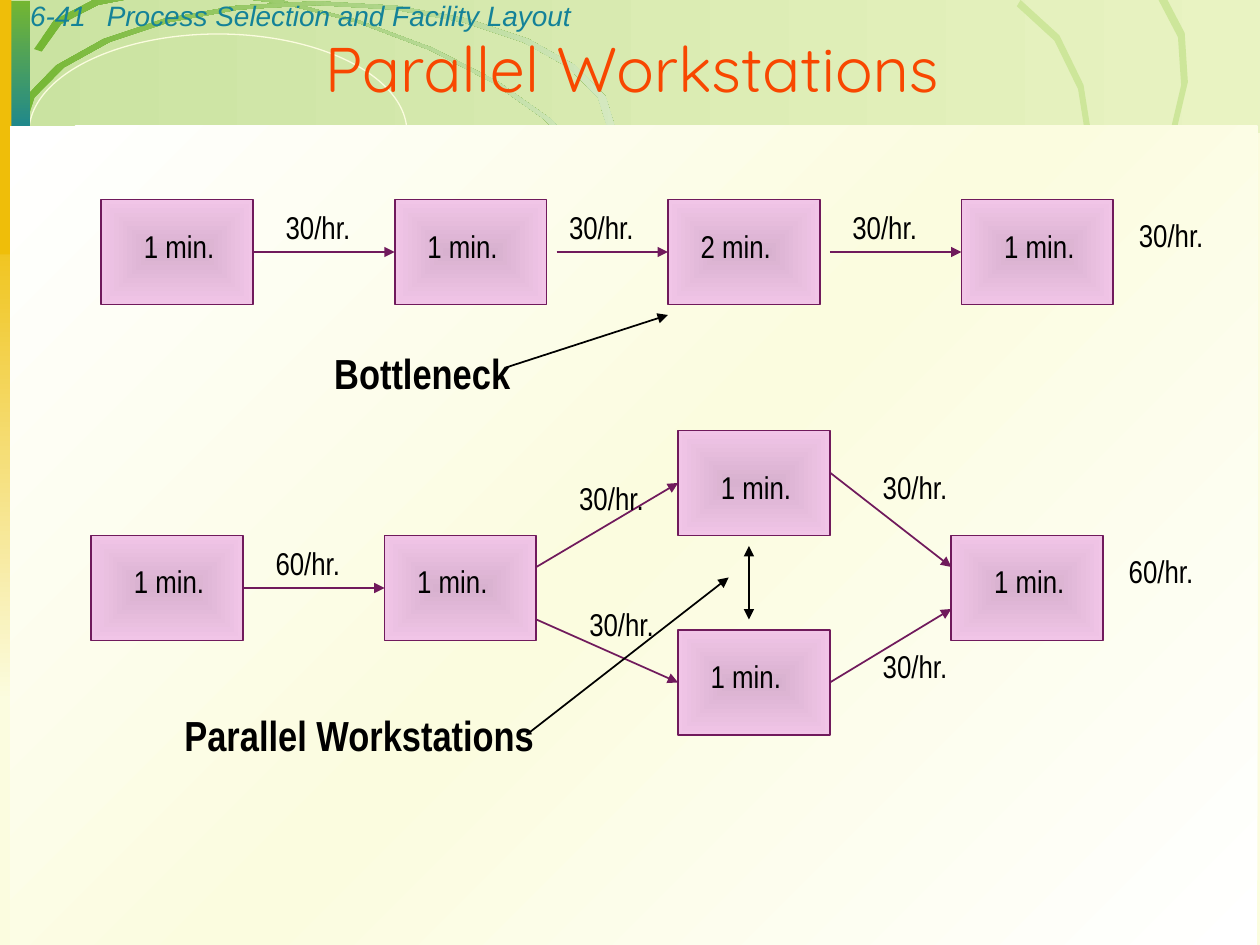
from lxml import etree
from pptx import Presentation
from pptx.dml.color import RGBColor
from pptx.enum.shapes import MSO_CONNECTOR, MSO_SHAPE
from pptx.enum.text import MSO_ANCHOR, MSO_AUTO_SIZE, PP_ALIGN
from pptx.oxml.ns import nsdecls, qn
from pptx.util import Inches, Pt

RECT, OVAL = MSO_SHAPE.RECTANGLE, MSO_SHAPE.OVAL
LINE = MSO_CONNECTOR.STRAIGHT
MID, MIDDLE = PP_ALIGN.CENTER, MSO_ANCHOR.MIDDLE
GROW = MSO_AUTO_SIZE.SHAPE_TO_FIT_TEXT

HUE = {"cream": "FBFCDF", "white": "FFFFFF", "black": "000000", "green": "74B632",
       "pale": "D5E9C1", "lime": "CDE69A", "teal": "148298", "gold": "EFBE09",
       "red": "F84700", "plum": "701A5C", "mauve": "D8B1CF", "pink": "F1C5E7",
       "leaf": "CAE3A1", "mist": "E9F3C2"}

WIDE, HIGH = 10, 7.5
COL, ROW = WIDE / 124.5, HIGH / 90
BOX = (15, 10)

HEAD = {"name": "Arial", "size": Pt(16), "italic": True}
TITLE = {"name": "Quicksand", "size": Pt(36)}
NOTE = {"name": "Arial Narrow", "size": Pt(18)}
CALL = {"name": "Arial Narrow", "size": Pt(24), "bold": True}

BAND = (RECT, (0.01, 0, 10, 1.06), ("leaf", "mist"))
FADE = (RECT, (0, 1.55, 0.22, 4.01), ("gold", "cream"), 90)
EDGE = [
    (RECT, (0.01, 0.01, 0.23, 1.14), ("green", "teal"), 90),
    (RECT, (0, 0, 0.09, 2.02), ("gold",)),
    (RECT, (0.08, 1, 9.9, 6.5), ("white", "cream", "white"), 45),
]
TILT = (("green", "pale"), [
    [(0.33, 0.41)], [(0.49, -0.1), (1.61, -0.2), (2.84, 0.18)],
    [(4.06, 0.57), (4.92, 1.29), (4.76, 1.8)], [(4.82, 1.82)],
    [(4.99, 1.3), (4.1, 0.55), (2.84, 0.16)],
    [(1.59, -0.24), (0.43, -0.14), (0.27, 0.39)]])
ARCS = [
    (("lime",), [
        [(5.73, 3.08)], [(6.19, 3.6), (7.34, 3.33), (8.3, 2.48)],
        [(9.25, 1.62), (9.65, 0.51), (9.19, -0.01)], [(9.24, -0.05)],
        [(9.71, 0.48), (9.3, 1.62), (8.32, 2.5)],
        [(7.34, 3.38), (6.16, 3.66), (5.68, 3.13)]]),
    (("lime",), [
        [(5.7, 4.04)], [(6.41, 4.46), (7.51, 3.91), (8.17, 2.81)],
        [(8.82, 1.71), (8.78, 0.47), (8.07, 0.05)], [(8.1, 0)],
        [(8.83, 0.43), (8.87, 1.7), (8.2, 2.83)],
        [(7.53, 3.96), (6.39, 4.53), (5.67, 4.1)]]),
    (("green", "pale"), [
        [(0.19, 1.04)], [(0.19, 0.49), (1.23, 0.04), (2.51, 0.04)],
        [(3.79, 0.04), (4.83, 0.49), (4.83, 1.04)], [(4.89, 1.04)],
        [(4.89, 0.47), (3.83, 0.01), (2.51, 0.01)],
        [(1.19, 0.01), (0.12, 0.47), (0.12, 1.04)]]),
]

STEPS = [
    (10, 19, "1 min.", 13, 21), (39, 19, "1 min.", 41, 21),
    (66, 19, "2 min.", 68, 21), (95, 19, "1 min.", 98, 21),
    (9, 51, "1 min.", 12, 52.9), (38, 51, "1 min.", 40, 52.9),
    (67, 41, "1 min.", 70, 44), (67, 60, "1 min.", 69, 62),
    (94, 51, "1 min.", 97, 52.9),
]
RATES = [
    ("30/hr.", 27, 19.2), ("30/hr.", 55, 19.2), ("30/hr.", 83, 19.2),
    ("30/hr.", 111.3, 20), ("60/hr.", 26, 51.2), ("30/hr.", 56, 45),
    ("30/hr.", 86, 44), ("60/hr.", 110.3, 52), ("30/hr.", 57, 57),
    ("30/hr.", 86, 61),
]
CALLS = [("Bottleneck", 31.8, 32.5, 1.62), ("Parallel Workstations", 17, 67, 3)]
FLOWS = [
    (25, 24, 39, 24), (55, 24, 66, 24), (82, 24, 95, 24), (24, 56, 38, 56),
    (53, 54, 67, 46), (82, 45, 94, 54), (53, 59, 67, 65), (82, 65, 94, 58),
]
HINTS = [(50, 35, 66, 30, ("tail",)), (52, 70, 72, 55, ("tail",)),
         (74, 52, 74, 59, ("head", "tail"))]

deck = Presentation()
deck.slide_width, deck.slide_height = Inches(WIDE), Inches(HIGH)
page = deck.slides.add_slide(deck.slide_layouts[6])
parts = page.shapes


def rgb(name):
    return RGBColor.from_string(HUE[name])


def paint(shape, hues, turn=0):
    shape.shadow.inherit = False
    shape.line.fill.background()
    shape.fill.solid()
    shape.fill.fore_color.rgb = rgb(hues[0])
    if len(hues) == 1:
        return
    stops = "".join(
        f'<a:gs pos="{100000 * i // (len(hues) - 1)}"><a:srgbClr val="{HUE[h]}"/></a:gs>'
        for i, h in enumerate(hues))
    if turn is None:
        way = ('<a:path path="rect"><a:fillToRect l="50000" t="50000" '
               'r="50000" b="50000"/></a:path>')
    else:
        way = f'<a:lin ang="{turn * 60000}" scaled="0"/>'
    grad = etree.fromstring(
        f'<a:gradFill {nsdecls("a")} rotWithShape="1"><a:gsLst>{stops}</a:gsLst>{way}</a:gradFill>')
    props = shape._element.spPr
    props.replace(props.find(qn("a:solidFill")), grad)


def block(kind, at, hues, turn=0):
    shape = parts.add_shape(kind, *map(Inches, at))
    paint(shape, hues, turn)
    return shape


def edge(shape, hue, wide):
    shape.line.color.rgb = rgb(hue)
    shape.line.width = Pt(wide)


def curve(path, steps=6):
    dots = list(path[0])
    for seg in path[1:]:
        if len(seg) == 1:
            dots += seg
            continue
        ends = [dots[-1], *seg]
        for i in range(1, steps + 1):
            t = i / steps
            w = ((1 - t) ** 3, 3 * t * (1 - t) ** 2, 3 * t * t * (1 - t), t ** 3)
            dots.append(tuple(sum(k * p[n] for k, p in zip(w, ends)) for n in (0, 1)))
    return dots


def sweep(hues, path):
    dots = [(Inches(x), Inches(y)) for x, y in curve(path)]
    pen = parts.build_freeform(*dots[0])
    pen.add_line_segments(dots[1:], close=True)
    paint(pen.convert_to_shape(), hues)


def write(text, at, look, hue="black", wrap=False, **para):
    frame = parts.add_textbox(*map(Inches, at)).text_frame
    frame.word_wrap = wrap
    if wrap:
        frame.vertical_anchor = MIDDLE
    else:
        frame.auto_size = GROW
    line = frame.paragraphs[0]
    for key, val in para.items():
        setattr(line, key, val)
    run = line.add_run()
    run.text = text
    for key, val in look.items():
        setattr(run.font, key, val)
    run.font.color.rgb = rgb(hue)


def arrow(x, y, to_x, to_y, hue, ends=("tail",)):
    link = parts.add_connector(LINE, Inches(x * COL), Inches(y * ROW),
                               Inches(to_x * COL), Inches(to_y * ROW))
    edge(link, hue, 1)
    for end in ends:
        etree.SubElement(link.line._ln, qn(f"a:{end}End"), type="triangle")
    etree.SubElement(link._element.spPr, qn("a:effectLst"))


page.background.fill.solid()
page.background.fill.fore_color.rgb = rgb("cream")
block(*BAND)
sweep(*TILT)
ring = block(OVAL, (0.23, 0.27, 3, 1.56), ("cream",))
ring.fill.background()
edge(ring, "cream", 0.75)
block(*FADE)
for arc in ARCS:
    sweep(*arc)
for item in EDGE:
    block(*item)

write("6-41", (0.14, -0.06, 0.77, 0.37), HEAD, "teal")
write("Process Selection and Facility Layout", (0.75, -0.06, 8.5, 0.37), HEAD, "teal", True)
for x, y, text, tx, ty in STEPS:
    step = block(RECT, (x * COL, y * ROW, BOX[0] * COL, BOX[1] * ROW), ("mauve", "pink"), None)
    edge(step, "plum", 1)
    write(text, (tx * COL, ty * ROW, 0.76, 0.4), NOTE)
for flow in FLOWS:
    arrow(*flow, "plum")
for text, x, y in RATES:
    write(text, (x * COL, y * ROW, 0.72, 0.4), NOTE)
for text, x, y, wide in CALLS:
    write(text, (x * COL, y * ROW, wide, 0.5), CALL)
for x, y, to_x, to_y, ends in HINTS:
    arrow(x, y, to_x, to_y, "black", ends)
write("Parallel Workstations", (0.03, 0.34, 9.97, 0.39), TITLE, "red", True, alignment=MID)

deck.save("out.pptx")
